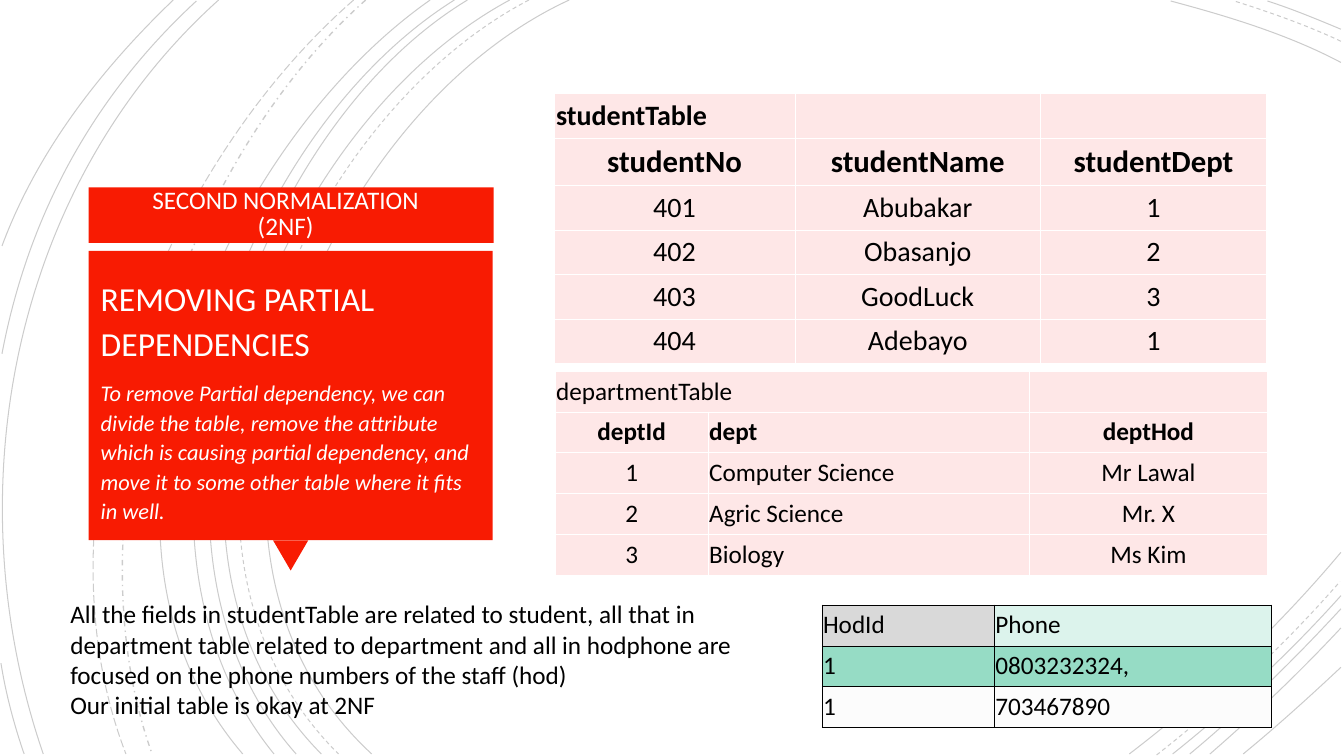
from pptx import Presentation
from pptx import util as u
from pptx.dml.color import RGBColor
from pptx.enum import dml, shapes, text
from pptx.oxml.ns import qn
from pptx.oxml.xmlchemy import OxmlElement

FONT = "Calibri"
RED, PINK, BLACK, WHITE = "F81B02", "FEE7E7", "000000", "FFFFFF"
LEFT, CENTER = text.PP_ALIGN.LEFT, text.PP_ALIGN.CENTER
TOP, MIDDLE = text.MSO_ANCHOR.TOP, text.MSO_ANCHOR.MIDDLE
SOLID, DASH = dml.MSO_LINE.SOLID, dml.MSO_LINE.DASH
DASH_DOT, LONG_DASH = dml.MSO_LINE.DASH_DOT, dml.MSO_LINE.LONG_DASH

ARCS = [
    (SOLID, [(5.65, 0), (3.15, 1.15), (1.43, 5.4), (3.69, 7.48)]),
    (SOLID, [(13.31, 0.62), (12.78, 0.34), (12.18, 0.16), (11.62, 0.01)]),
    (SOLID, [(11.21, 7.48), (11.97, 6.9), (12.69, 6.22), (13.31, 5.48)]),
    (DASH, [(5.25, 0), (2.85, 1.25), (1.23, 5.37), (3.36, 7.48)]),
    (DASH, [(13.31, 0.41), (12.97, 0.25), (12.6, 0.12), (12.25, 0.01)]),
    (DASH, [(11.48, 7.49), (12.13, 6.98), (12.75, 6.4), (13.3, 5.77)]),
    (SOLID, [(5.06, 0), (2.7, 1.27), (1.1, 5.37), (3.19, 7.48)]),
    (SOLID, [(13.31, 0.29), (13.07, 0.19), (12.83, 0.09), (12.58, 0.01)]),
    (SOLID, [(11.64, 7.48), (12.23, 7.01), (12.8, 6.48), (13.31, 5.91)]),
    (SOLID, [(4.64, 0), (2.44, 1.33), (1.1, 5.41), (2.94, 7.48)]),
    (SOLID, [(11.81, 7.48), (12.34, 7.04), (12.84, 6.55), (13.31, 6.04)]),
    (SOLID, [(4.51, 0), (2.31, 1.38), (0.97, 5.33), (2.72, 7.48)]),
    (SOLID, [(12.01, 7.48), (12.46, 7.09), (12.9, 6.67), (13.31, 6.23)]),
    (SOLID, [(4.27, 0), (2.17, 1.47), (0.53, 5.29), (2.41, 7.48)]),
    (SOLID, [(12.34, 7.48), (12.67, 7.21), (12.99, 6.92), (13.31, 6.62)]),
    (DASH_DOT, [(3.63, 0), (1.76, 1.66), (0.65, 5.09), (1.51, 7.48)]),
    (LONG_DASH, [(3.51, 0), (1.57, 1.69), (0.29, 4.99), (1.25, 7.48)]),
    (SOLID, [(2.17, 0), (0.11, 1.85), (-0.46, 4.9), (0.43, 7.48)]),
    (SOLID, [(1.95, 0.01), (0.92, 0.96), (0.28, 2.14), (0.02, 3.51)]),
    (SOLID, [(0.01, 6.58), (0.06, 6.89), (0.14, 7.19), (0.24, 7.48)]),
    (SOLID, [(1.72, 0), (1, 0.69), (0.37, 1.5), (0.02, 2.44)]),
]


def color(value):
    """Turn a hex string into a colour."""
    return RGBColor.from_string(value)


def add_arc(page, dash, points):
    """Draw a faint cubic curve from a start, two handles and an end."""
    start, *rest = [(u.Inches(x), u.Inches(y)) for x, y in points]
    builder = page.shapes.build_freeform(*start)
    builder.add_line_segments(rest, close=False)
    arc = builder.convert_to_shape()
    arc.shadow.inherit = False
    arc.fill.background()
    arc.line.color.rgb = color(BLACK)
    arc.line.width = u.Pt(1 if dash == DASH_DOT else 0.75)
    arc.line.dash_style = dash
    alpha = OxmlElement("a:alpha")
    alpha.set("val", "20000")
    next(arc._element.iter(qn("a:srgbClr"))).append(alpha)
    outline = next(arc._element.iter(qn("a:path")))
    bezier = OxmlElement("a:cubicBezTo")
    for segment in outline.findall(qn("a:lnTo")):
        bezier.append(segment[0])
        outline.remove(segment)
    outline.append(bezier)


def add_block(page, kind, box, rotation=0):
    """Add a plain red shape."""
    block = page.shapes.add_shape(kind, *map(u.Inches, box))
    block.shadow.inherit = False
    block.fill.solid()
    block.fill.fore_color.rgb = color(RED)
    block.line.fill.background()
    block.rotation = rotation


def add_text(para, words, size, ink, align=LEFT, bold=False, italic=False):
    """Add one formatted run to a paragraph."""
    para.alignment = align
    span = para.add_run()
    span.text = words
    span.font.name = FONT
    span.font.size = u.Pt(size)
    span.font.bold = bold
    span.font.italic = italic
    span.font.color.rgb = color(ink)


def place(holder, box, anchor, inset=(0.1, 0.05)):
    """Position a text shape and return its frame."""
    holder.left, holder.top, holder.width, holder.height = map(u.Inches, box)
    frame = holder.text_frame
    frame.word_wrap = True
    frame.auto_size = text.MSO_AUTO_SIZE.NONE
    frame.vertical_anchor = anchor
    frame.margin_left = frame.margin_right = u.Inches(inset[0])
    frame.margin_top = frame.margin_bottom = u.Inches(inset[1])
    return frame


def remove_bullet(para):
    """Clear the list indent and bullet of a paragraph."""
    props = para._p.get_or_add_pPr()
    props.set("marL", "0")
    props.set("indent", "0")
    props.append(OxmlElement("a:buNone"))


def set_borders(cell, ink, width):
    """Give a cell four equal borders."""
    props = cell._tc.get_or_add_tcPr()
    for index, side in enumerate(("a:lnL", "a:lnR", "a:lnT", "a:lnB")):
        line, fill, tint = map(OxmlElement, (side, "a:solidFill", "a:srgbClr"))
        line.set("w", str(u.Pt(width)))
        tint.set("val", ink)
        fill.append(tint)
        line.append(fill)
        props.insert(index, line)


def add_grid(page, at, widths, heights, rows, style, border, inset=0.01):
    """Add a table; style(row, column) gives fill, size, bold and alignment."""
    frame = page.shapes.add_table(len(rows), len(widths), *map(u.Inches, (*at, sum(widths), sum(heights))))
    grid = frame.table
    grid.first_row = grid.horz_banding = False
    for column, width in zip(grid.columns, widths):
        column.width = u.Inches(width)
    for r, (height, row) in enumerate(zip(heights, rows)):
        grid.rows[r].height = u.Inches(height)
        for c, words in enumerate(row):
            cell = grid.cell(r, c)
            fill, size, bold, align = style(r, c)
            cell.fill.solid()
            cell.fill.fore_color.rgb = color(fill)
            cell.margin_left = cell.margin_right = u.Inches(inset)
            cell.vertical_anchor = MIDDLE
            set_borders(cell, *border)
            if words:
                add_text(cell.text_frame.paragraphs[0], words, size, BLACK, align, bold)
    return grid


def student_style(r, c):
    """Style the student table."""
    return PINK, 22 if r == 1 else 20, r < 2, CENTER if r else LEFT


def department_style(r, c):
    """Style the department table."""
    return PINK, 18, r == 1, CENTER if r and c != 1 else LEFT


def phone_style(r, c):
    """Style the phone table."""
    fills = [("D9D9D9", "DCF3EC"), ("96DCC5", "96DCC5"), ("FCFCFC", "FCFCFC")]
    return fills[r][c], 18, False, LEFT


def add_callout(page, title, body):
    """Build the red callout with its title and explanation."""
    add_block(page, shapes.MSO_SHAPE.RECTANGLE, (0.88, 1.86, 4.02, 0.55))
    add_block(page, shapes.MSO_SHAPE.ISOSCELES_TRIANGLE, (2.71, 5.36, 0.35, 0.3), 180)
    add_block(page, shapes.MSO_SHAPE.RECTANGLE, (0.88, 2.49, 4.01, 2.87))
    for holder in (body, title):
        page.shapes._spTree.append(holder._element)
    heading = place(title, (0.96, 1.86, 3.75, 0.54), MIDDLE, (0.25, 0)).paragraphs[0]
    heading.line_spacing = 0.85
    add_text(heading, "SECOND NORMALIZATION (2NF)", 18, "FFFEFF", CENTER)
    frame = place(body, (0.9, 2.67, 3.9, 2.66), TOP)
    lead, detail = frame.paragraphs[0], frame.add_paragraph()
    for para, gap in ((lead, 0), (detail, 10)):
        para.line_spacing = 1.1
        para.space_before = u.Pt(gap)
        remove_bullet(para)
    add_text(lead, "REMOVING PARTIAL DEPENDENCIES", 24, WHITE)
    add_text(detail, "To remove Partial dependency, we can divide the table, remove the attribute "
             "which is causing partial dependency, and move it to some other table where it fits "
             "in well.", 16, WHITE, italic=True)


def add_summary(page):
    """Add the closing remarks."""
    box = (0.6, 5.89, 7.5, 1.3)
    frame = place(page.shapes.add_textbox(*map(u.Inches, box)), box, TOP)
    add_text(frame.paragraphs[0], "All the fields in studentTable are related to student, all that in "
             "department table related to department and all in hodphone are focused on the phone "
             "numbers of the staff (hod)", 18, BLACK)
    add_text(frame.add_paragraph(), "Our initial table is okay at 2NF", 18, BLACK)


def main():
    """Build and save the slide."""
    deck = Presentation()
    deck.slide_width, deck.slide_height = u.Inches(13.34), u.Inches(7.5)
    page = deck.slides.add_slide(deck.slide_layouts[1])
    for dash, points in ARCS:
        add_arc(page, dash, points)
    add_callout(page, page.shapes.title, page.placeholders[1])
    add_grid(page, (5.5, 0.93), (2.39, 2.44, 2.24), (0.44, 0.46, *[0.43] * 4), [
        ("studentTable", "", ""), ("studentNo", "studentName", "studentDept"),
        ("401", "Abubakar", "1"), ("402", "Obasanjo", "2"),
        ("403", "GoodLuck", "3"), ("404", "Adebayo", "1"),
    ], student_style, (WHITE, 0.45), 0.02)
    departments = add_grid(page, (5.51, 3.68), (1.52, 3.19, 2.36), [0.4] * 5, [
        ("departmentTable", "", ""), ("deptId", "dept", "deptHod"),
        ("1", "Computer Science", "Mr Lawal"), ("2", "Agric Science", "Mr. X"),
        ("3", "Biology", "Ms Kim"),
    ], department_style, (WHITE, 0.45))
    departments.cell(0, 0).merge(departments.cell(0, 1))
    add_grid(page, (8.16, 6), (1.71, 2.75), [0.4] * 3, [
        ("HodId", "Phone"), ("1", "0803232324,"), ("1", "703467890"),
    ], phone_style, (BLACK, 0.23))
    add_summary(page)
    deck.save("out.pptx")


if __name__ == "__main__":
    main()
